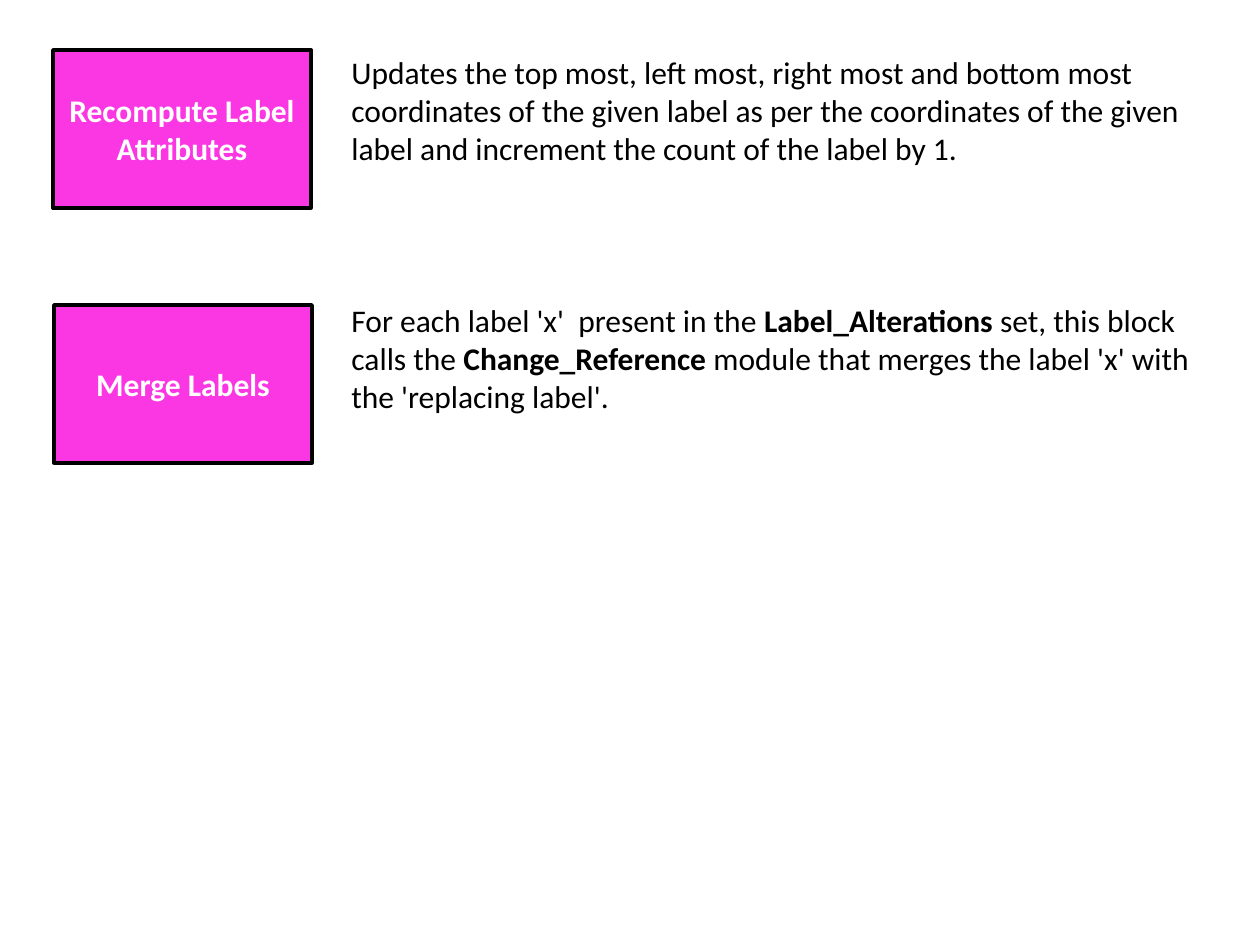
import pptx
import pptx.dml.color
import pptx.enum.shapes
import pptx.enum.text
import pptx.util

PX = pptx.util.Inches(1) // 126
COLORS = {"block": "FB37E4", "outline": "000000", "label": "FFFFFF", "body": "000000"}


def rgb(name):
    return pptx.dml.color.RGBColor.from_string(COLORS[name])


def write(paragraph, text, *, color="body", bold=False, size=18, font="Calibri"):
    run = paragraph.add_run()
    run.text = text
    run.font.name = font
    run.font.size = pptx.util.Pt(size)
    run.font.bold = bold
    run.font.color.rgb = rgb(color)


class SlideBuilder:
    def __init__(self, slide):
        self.slide = slide
        self.block_size = (258 * PX, 158 * PX)
        self.description_size = (867 * PX, 127 * PX)

    def block(self, left, top, label):
        block = self.slide.shapes.add_shape(
            pptx.enum.shapes.MSO_SHAPE.RECTANGLE, left * PX, top * PX, *self.block_size)
        block.shadow.inherit = False
        block.fill.solid()
        block.fill.fore_color.rgb = rgb("block")
        block.line.color.rgb = rgb("outline")
        block.line.width = pptx.util.Pt(2)
        frame = block.text_frame
        frame.word_wrap = True
        frame.vertical_anchor = pptx.enum.text.MSO_ANCHOR.MIDDLE
        frame.paragraphs[0].alignment = pptx.enum.text.PP_ALIGN.CENTER
        write(frame.paragraphs[0], label, color="label", bold=True)

    def description(self, left, top, parts):
        """Add a text box from (text, bold) parts."""
        box = self.slide.shapes.add_textbox(left * PX, top * PX, *self.description_size)
        frame = box.text_frame
        frame.word_wrap = True
        frame.auto_size = pptx.enum.text.MSO_AUTO_SIZE.SHAPE_TO_FIT_TEXT
        for text, bold in parts:
            write(frame.paragraphs[0], text, bold=bold)


def main():
    deck = pptx.Presentation()
    deck.slide_width = pptx.util.Inches(10)
    deck.slide_height = pptx.util.Inches(7.5)
    builder = SlideBuilder(deck.slides.add_slide(deck.slide_layouts[6]))

    builder.block(54, 305, "Merge Labels")
    builder.block(53, 50, "Recompute Label Attributes")

    recompute_parts = [
        ("Updates the top most, left most, right most and bottom most coordinates of "
         "the given label as per the coordinates of the given label and increment "
         "the count of the label by 1.", False),
    ]
    merge_parts = [
        ("For each label 'x'  present in the ", False),
        ("Label_Alterations", True),
        (" set, this block calls the ", False),
        ("Change_Reference", True),
        (" module that merges the label 'x' with the 'replacing label'.", False),
    ]
    for top, parts in [(47, recompute_parts), (295, merge_parts)]:
        builder.description(339, top, parts)

    deck.save("out.pptx")


if __name__ == "__main__":
    main()
